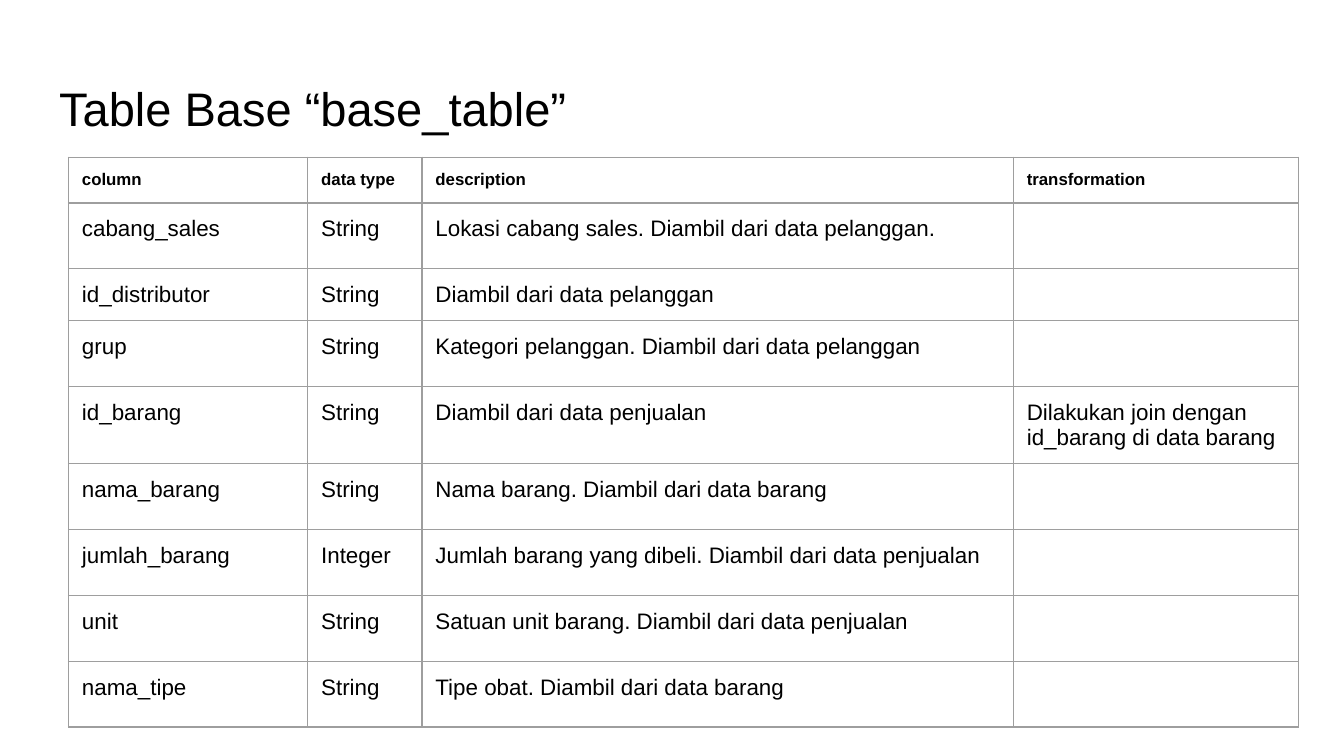
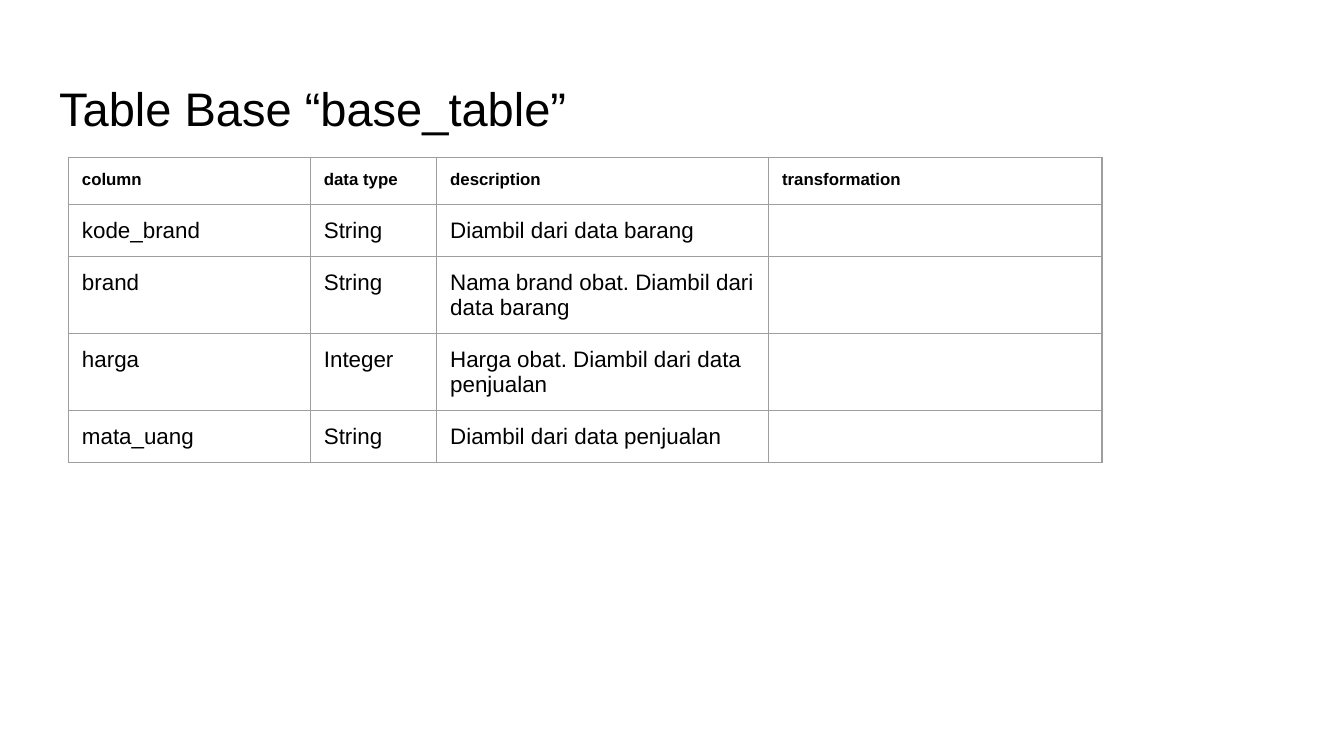
import pptx
import pptx.util
import pptx.dml.color
import pptx.enum.text
import pptx.oxml
import pptx.oxml.ns
from pptx.util import Inches
from lxml import etree

COLORS = {"text": "000000", "grid": "9E9E9E"}
FONT = "Arial"
TITLE = "Table Base “base_table”"
HEADINGS = ("column", "data type", "description", "transformation")

# Each slide: column widths, row heights, data rows
pages = [
    (
        (1.78, 0.85, 4.4, 2.12),
        (0.33, 0.49, 0.38, 0.49, 0.57, 0.49, 0.49, 0.49, 0.49),
        [
            ("cabang_sales", "String", "Lokasi cabang sales. Diambil dari data pelanggan.", ""),
            ("id_distributor", "String", "Diambil dari data pelanggan", ""),
            ("grup", "String", "Kategori pelanggan. Diambil dari data pelanggan", ""),
            ("id_barang", "String", "Diambil dari data penjualan",
             "Dilakukan join dengan id_barang di data barang"),
            ("nama_barang", "String", "Nama barang. Diambil dari data barang", ""),
            ("jumlah_barang", "Integer", "Jumlah barang yang dibeli. Diambil dari data penjualan", ""),
            ("unit", "String", "Satuan unit barang. Diambil dari data penjualan", ""),
            ("nama_tipe", "String", "Tipe obat. Diambil dari data barang", ""),
        ],
    ),
    (
        (1.8, 0.94, 2.47, 2.48),
        (0.35,) * 5,
        [
            ("kode_brand", "String", "Diambil dari data barang", ""),
            ("brand", "String", "Nama brand obat. Diambil dari data barang", ""),
            ("harga", "Integer", "Harga obat. Diambil dari data penjualan", ""),
            ("mata_uang", "String", "Diambil dari data penjualan", ""),
        ],
    ),
]


def write(frame, margins, text, size, bold=False):
    """Set one paragraph of text; an empty one keeps its font for the row height."""
    frame.text = text
    margins.margin_left = margins.margin_right = Inches(0.1)
    margins.margin_top = margins.margin_bottom = Inches(0.1)
    paragraph = frame.paragraphs[0]
    paragraph.alignment = pptx.enum.text.PP_ALIGN.LEFT
    for run in paragraph.runs:
        run.font.name = FONT
        run.font.size = pptx.util.Pt(size)
        run.font.bold = bold
        run.font.color.rgb = pptx.dml.color.RGBColor.from_string(COLORS["text"])
    if not text:
        end = etree.SubElement(paragraph._p, pptx.oxml.ns.qn("a:endParaRPr"), sz=str(size * 100))
        etree.SubElement(end, pptx.oxml.ns.qn("a:latin"), typeface=FONT)


def draw_borders(cell):
    properties = cell._tc.get_or_add_tcPr()
    for position, side in enumerate(("lnL", "lnR", "lnT", "lnB")):
        properties.insert(position, pptx.oxml.parse_xml(
            f'<a:{side} {pptx.oxml.ns.nsdecls("a")} w="{pptx.util.Pt(0.75)}">'
            f'<a:solidFill><a:srgbClr val="{COLORS["grid"]}"/></a:solidFill></a:{side}>'))


# Widescreen 16:9 deck
deck = pptx.Presentation()
deck.slide_width = Inches(10)
deck.slide_height = Inches(10 * 9 / 16)

for widths, heights, fields in pages:
    slide = deck.slides.add_slide(deck.slide_layouts[5])

    # Title
    heading = slide.shapes.title
    heading.left, heading.top = Inches(0.34), Inches(0.49)
    heading.width, heading.height = Inches(9.32), Inches(0.63)
    write(heading.text_frame, heading.text_frame, TITLE, 25.2)
    heading.text_frame.vertical_anchor = pptx.enum.text.MSO_ANCHOR.MIDDLE

    # Schema table
    schema = slide.shapes.add_table(
        len(heights), len(widths), Inches(0.51), Inches(1.17),
        Inches(sum(widths)), Inches(sum(heights))).table
    schema.first_row = schema.horz_banding = False
    for column, width in zip(schema.columns, widths):
        column.width = Inches(width)
    for row, height in zip(schema.rows, heights):
        row.height = Inches(height)

    # Cells
    for r, values in enumerate([HEADINGS] + fields):
        for c, value in enumerate(values):
            cell = schema.cell(r, c)
            write(cell.text_frame, cell, value, 9 if r == 0 else 12, bold=r == 0)
            cell.fill.background()
            draw_borders(cell)

deck.save("out.pptx")
